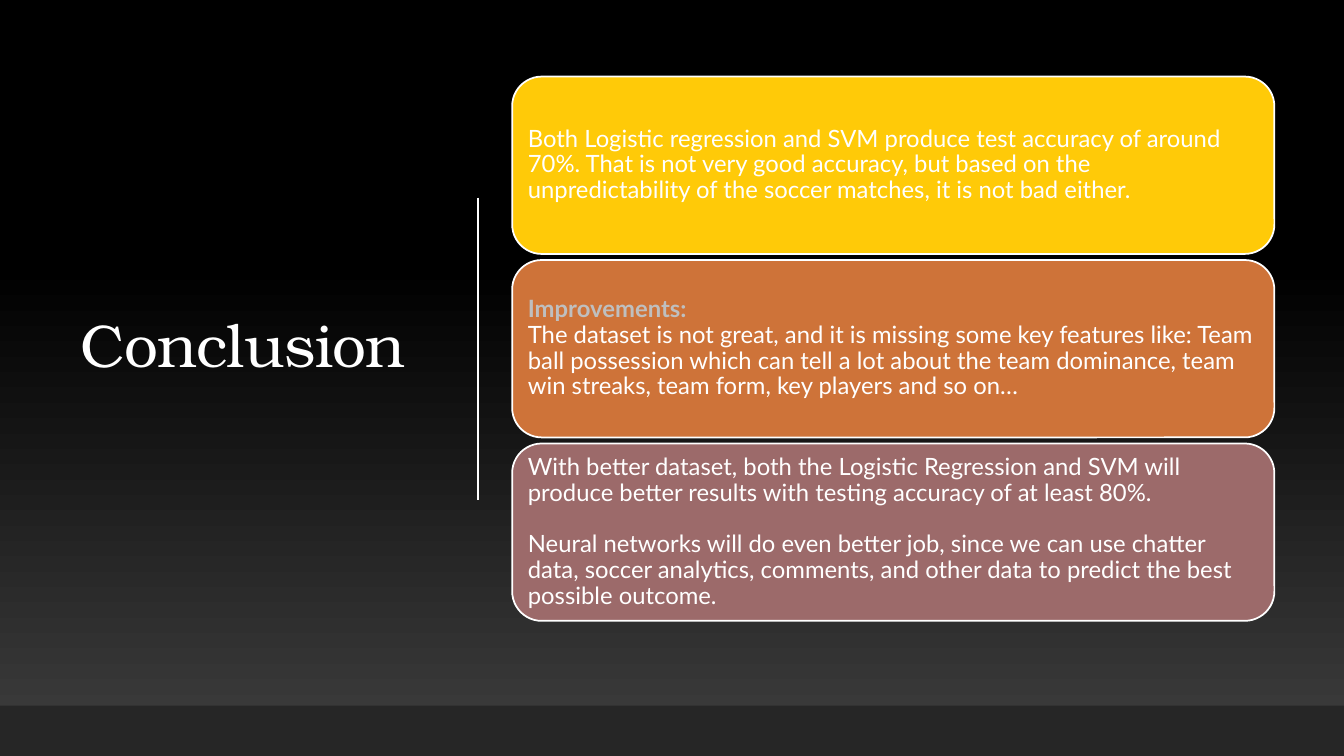
from pptx import Presentation
from pptx.dml.color import RGBColor
from pptx.enum.shapes import MSO_CONNECTOR as Connector, MSO_SHAPE as Shape
from pptx.enum.text import MSO_ANCHOR as Anchor, PP_ALIGN as Align
from pptx.oxml.ns import qn
from pptx.util import Inches, Pt
from lxml.etree import SubElement

WIDTH, HEIGHT = 13.33, 7.5
WHITE = "FFFFFF"
SILVER = "BFBFBF"


def color(value):
    return RGBColor.from_string(value)


def write(para, text, **font_values):
    """Add one formatted span to a left-aligned paragraph."""
    para.alignment = Align.LEFT
    para.line_spacing = 0.9
    span = para.add_run()
    span.text = text
    span.font.color.rgb = color(font_values.pop("ink", WHITE))
    for name, value in font_values.items():
        setattr(span.font, name, value)
    return span


deck = Presentation()
deck.slide_width, deck.slide_height = Inches(WIDTH), Inches(HEIGHT)
page = deck.slides.add_slide(deck.slide_layouts[5])

# Background: grey at the bottom fading to black
backdrop = page.background.fill
backdrop.gradient()
backdrop.gradient_angle = 90
for stop, (position, shade) in zip(backdrop.gradient_stops, [(0, "3F3F3F"), (0.65, "000000")]):
    stop.position = position
    stop.color.rgb = color(shade)

# Title
title = page.shapes.title
title_place = {"left": 0.7, "top": 0.69, "width": 3.69, "height": 5.53}
for name, value in title_place.items():
    setattr(title, name, Inches(value))
title.text_frame.word_wrap = True
title.text_frame.vertical_anchor = Anchor.MIDDLE
heading = write(title.text_frame.paragraphs[0], "Conclusion", name="TeX Gyre Bonum", size=Pt(43))
heading.font._element.set("spc", "-50")

# Divider between title and cards
divider = page.shapes.add_connector(
    Connector.STRAIGHT, Inches(4.74), Inches(1.96), Inches(4.74), Inches(4.96))
divider.line.color.rgb = color(WHITE)
divider.line.width = Pt(1)
SubElement(divider._element.spPr, qn("a:effectLst"))

# Footer band
band = page.shapes.add_shape(Shape.RECTANGLE, 0, Inches(7), Inches(WIDTH), Inches(HEIGHT - 7))
band.shadow.inherit = False
band.fill.solid()
band.fill.fore_color.rgb = color("262626")
band.line.fill.background()

# Cards: fill, space between paragraphs, paragraphs as (text, font values)
CARD_LEFT, CARD_TOP, CARD_WIDTH, CARD_HEIGHT, CARD_STEP = 5.08, 0.76, 7.56, 1.76, 1.82
cards = [
    ("FFCA08", 0, [
        ("Both Logistic regression and SVM produce test accuracy of around 70%. "
         "That is not very good accuracy, but based on the unpredictability of "
         "the soccer matches, it is not bad either.", {}),
    ]),
    ("CE7339", 0, [
        ("Improvements:", {"ink": SILVER, "bold": True}),
        ("The dataset is not great, and it is missing some key features like: "
         "Team ball possession which can tell a lot about the team dominance, "
         "team win streaks, team form, key players and so on…", {}),
    ]),
    ("9C6A6A", 18.4, [
        ("With better dataset, both the Logistic Regression and SVM will produce "
         "better results with testing accuracy of at least 80%.", {}),
        ("Neural networks will do even better job, since we can use chatter data, "
         "soccer analytics, comments, and other data to predict the best "
         "possible outcome.", {}),
    ]),
]
for row, (fill, gap, paragraphs) in enumerate(cards):
    card = page.shapes.add_shape(
        Shape.ROUNDED_RECTANGLE, Inches(CARD_LEFT), Inches(CARD_TOP + row * CARD_STEP),
        Inches(CARD_WIDTH), Inches(CARD_HEIGHT))
    card.shadow.inherit = False
    card.fill.solid()
    card.fill.fore_color.rgb = color(fill)
    card.line.color.rgb = color(WHITE)
    card.line.width = Pt(1.25)

    frame = card.text_frame
    frame.word_wrap = True
    frame.vertical_anchor = Anchor.MIDDLE
    for side in ("left", "top", "right", "bottom"):
        setattr(frame, f"margin_{side}", Inches(0.07))
    for index, (text, font_values) in enumerate(paragraphs):
        para = frame.add_paragraph() if index else frame.paragraphs[0]
        if index:
            para.space_before = Pt(gap)
        write(para, text, name="Lato", size=Pt(17), **font_values)

deck.save("out.pptx")
